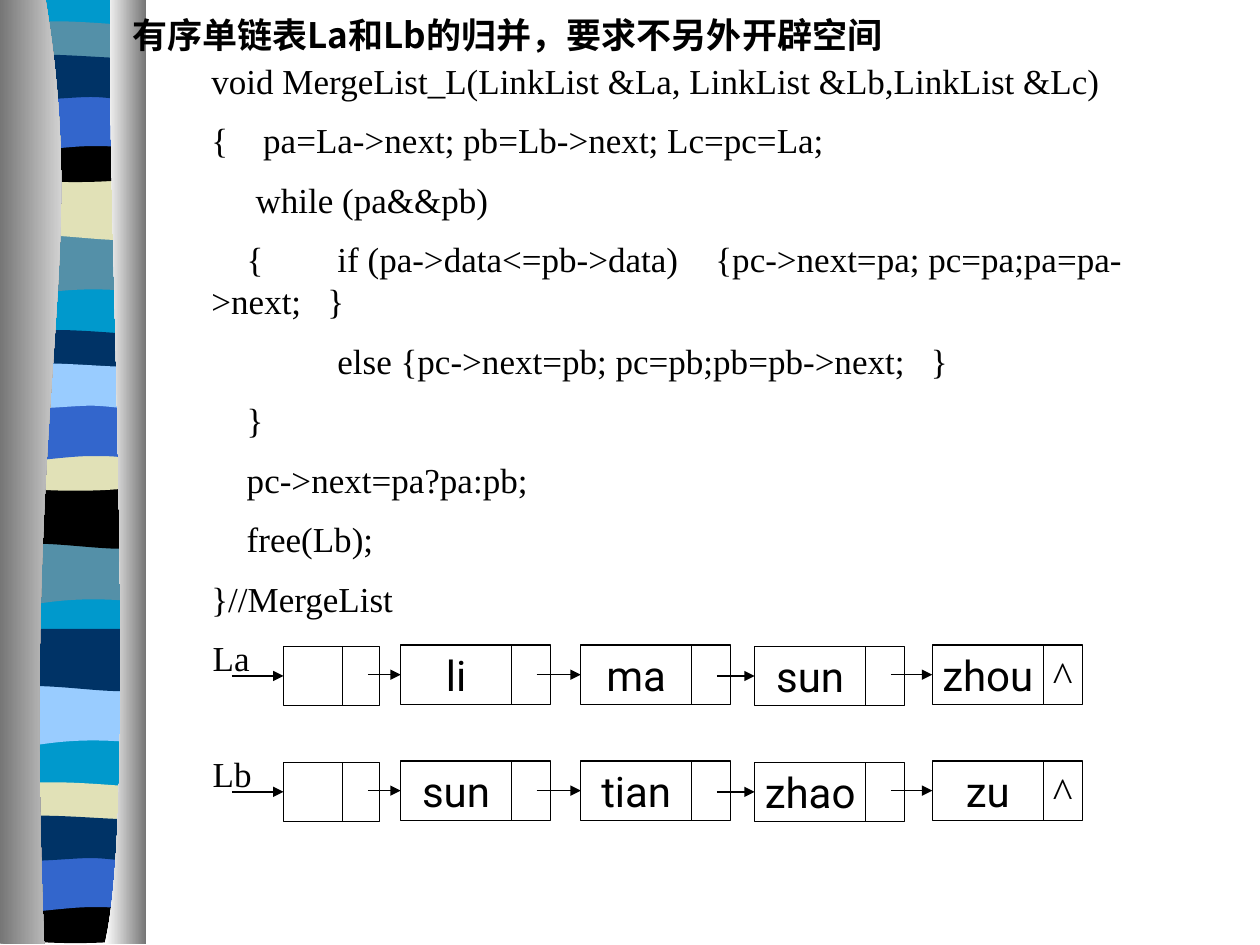
from dataclasses import dataclass

from lxml.etree import SubElement
from pptx import Presentation
from pptx.dml.color import RGBColor
from pptx.enum.shapes import MSO_CONNECTOR as Connector, MSO_SHAPE as Preset
from pptx.enum.text import MSO_ANCHOR as Anchor, MSO_AUTO_SIZE as AutoSize, PP_ALIGN as Align
from pptx.oxml.ns import qn
from pptx.util import Inches, Pt


@dataclass(frozen=True)
class Theme:
    ink: str = "000000"
    cyan: str = "0099CC"
    slate: str = "5490A8"
    cream: str = "E1E1B7"
    blue: str = "3366CC"
    navy: str = "003366"
    sky: str = "99CCFF"
    white: str = "FFFFFF"
    grey: str = "767676"
    title_font: str = "Noto Sans CJK SC"
    code_font: str = "Times New Roman"
    node_font: str = "Roboto"
    text_size: int = 20
    node_size: int = 24
    line_pitch: int = 24
    para_gap: int = 10
    rule: float = 0.75


THEME = Theme()
LEFT, RIGHT = 0.05, 1.14

FLAT = [((RIGHT, 0),)]
BAND_FORMS = [
    (0.47, FLAT, [((0.39, -0.08), (0.23, 0.08), (LEFT, 0))]),
    (0.47, FLAT, [((0.96, 0.08), (0.39, -0.06), (LEFT, 0))]),
    (0.24, [((0.12, -0.05), (0.29, -0.04), (0.47, -0.04)),
            ((0.65, -0.04), (1, -0.01), (RIGHT, 0))],
     [((0.96, 0.05), (0.23, 0.05), (LEFT, 0))]),
    (0.32, [((0.72, 0.05), (0.91, 0), (RIGHT, 0))],
     [((0.96, 0.06), (0.24, 0.06), (LEFT, 0))]),
    (0.47, FLAT, [((0.97, -0.05), (0.9, -0.05), (0.72, -0.05)),
                  ((0.54, -0.05), (0.22, 0), (LEFT, 0))]),
    (0.31, [((0.21, -0.06), (0.79, 0), (0.97, 0)),
            ((1.15, 0), (1.1, 0), (RIGHT, 0))],
     [((1.07, 0.05), (0.9, 0), (0.72, 0)),
      ((0.54, 0), (0.16, 0.05), (LEFT, 0))]),
]
BAND_GROUPS = [
    [(1.85, THEME.slate), (1.41, THEME.cream), (0.21, THEME.slate),
     (1.08, THEME.ink), (0.74, THEME.blue), (0.46, THEME.navy)],
    [(4.31, THEME.slate), (3.86, THEME.ink), (2.66, THEME.navy),
     (3.53, THEME.cream), (3.2, THEME.blue), (2.91, THEME.sky)],
    [(5.43, THEME.sky), (4.99, THEME.navy), (6.25, THEME.cream),
     (7.12, THEME.ink), (6.78, THEME.blue), (6.5, THEME.navy)],
]

TITLE = "有序单链表La和Lb的归并，要求不另外开辟空间"
CODE = [
    (0, "void MergeList_L(LinkList &La, LinkList &Lb,LinkList &Lc)"),
    (0, "{    pa=La->next; pb=Lb->next; Lc=pc=La;"),
    (0.35, "while (pa&&pb)"),
    (0.28, "{\t\tif (pa->data<=pb->data)\t{pc->next=pa; pc=pa;pa=pa->next;   }"),
    (1, "else {pc->next=pb; pc=pb;pb=pb->next;   }"),
    (0.28, "}"),
    (0.28, "pc->next=pa?pa:pb;"),
    (0.28, "free(Lb);"),
    (0, "}//MergeList"),
]
LISTS = [("La", ["li", "ma", "sun", "zhou"]), ("Lb", ["sun", "tian", "zhao", "zu"])]


def color(code):
    return RGBColor.from_string(code)


def style_para(para, font, size, bold=False):
    for span in para.runs:
        span.font.name, span.font.size, span.font.bold = font, Pt(size), bold
        span.font.color.rgb = color(THEME.ink)
        SubElement(span.font._element, qn("a:ea"), typeface=font)


def place(shape, box):
    shape.left, shape.top, shape.width, shape.height = map(Inches, box)


def lower_by(segments, y):
    return [tuple((x, y + dy) for x, dy in segment) for segment in segments]


def add_outline(page, start, segments, fill=None, gradient=None):
    builder = page.shapes.build_freeform(*map(Inches, start))
    points = [point for segment in segments for point in segment]
    builder.add_line_segments([(Inches(x), Inches(y)) for x, y in points], close=True)
    shape = builder.convert_to_shape()
    steps = iter(list(shape.element.iter(qn("a:lnTo"))))
    for segment in segments:
        step = next(steps)
        if len(segment) == 3:
            step.tag = qn("a:cubicBezTo")
            for _ in range(2):
                extra = next(steps)
                step.append(extra[0])
                extra.getparent().remove(extra)
    shape.shadow.inherit = False
    shape.line.fill.background()
    if gradient:
        shape.fill.gradient()
        shape.fill.gradient_angle = 0
        for stop, code in zip(shape.fill.gradient_stops, gradient):
            stop.color.rgb = color(code)
    else:
        shape.fill.solid()
        shape.fill.fore_color.rgb = color(fill)


def add_ribbon(page, top, bottom):
    backing = [((RIGHT, top),), ((RIGHT, bottom),), ((LEFT, bottom),)]
    add_outline(page, (LEFT, top), backing, THEME.cyan)
    for group in BAND_GROUPS:
        for (y, fill), (height, crest, trough) in zip(group, BAND_FORMS):
            base = y + height
            segments = lower_by(crest, y) + [((RIGHT, base),)] + lower_by(trough, base)
            add_outline(page, (LEFT, y), segments, fill)
    left_edge = [((0.72, 2.16), (0.17, 2.96), (0.35, 7.49)), ((0, 7.49),), ((0, top),)]
    add_outline(page, (0.36, top), left_edge, gradient=(THEME.grey, THEME.white))
    right_edge = [((0.83, 1.25), (1.11, 6.46), (0.83, 7.49)), ((1.16, 7.49),), ((1.16, top),)]
    add_outline(page, (0.88, top), right_edge, gradient=(THEME.white, THEME.grey))


def add_title(page, box):
    title = page.shapes.title
    title.element.getparent().append(title.element)
    place(title, box)
    frame = title.text_frame
    frame.text = TITLE
    frame.word_wrap, frame.auto_size = True, AutoSize.NONE
    frame.vertical_anchor, frame.margin_right = Anchor.TOP, Inches(0.05)
    para = frame.paragraphs[0]
    para.alignment, para.line_spacing = Align.LEFT, Pt(THEME.line_pitch)
    style_para(para, THEME.title_font, THEME.text_size, bold=True)


def add_text(page, box, lines, right_margin=0.1):
    frame = page.shapes.add_textbox(*map(Inches, box)).text_frame
    frame.word_wrap, frame.margin_right = True, Inches(right_margin)
    for index, (indent, text) in enumerate(lines):
        para = frame.add_paragraph() if index else frame.paragraphs[0]
        para.text = text
        para.line_spacing = Pt(THEME.line_pitch)
        para.space_before = Pt(THEME.para_gap if index else 0)
        style_para(para, THEME.code_font, THEME.text_size)
        props = para._p.get_or_add_pPr()
        props.set("marL", "0")
        props.set("indent", str(Inches(indent)))


def add_cell(page, box, text="", font=THEME.node_font):
    cell = page.shapes.add_shape(Preset.RECTANGLE, *map(Inches, box))
    cell.shadow.inherit = False
    cell.fill.background()
    cell.line.color.rgb, cell.line.width = color(THEME.ink), Pt(THEME.rule)
    if text:
        frame = cell.text_frame
        frame.text = text
        frame.word_wrap, frame.vertical_anchor = False, Anchor.MIDDLE
        frame.paragraphs[0].alignment = Align.CENTER
        style_para(frame.paragraphs[0], font, THEME.node_size)
    return cell


def add_arrow(page, start, cell):
    middle = cell.top + cell.height // 2
    arrow = page.shapes.add_connector(Connector.STRAIGHT, Inches(start), middle, cell.left, middle)
    arrow.end_connect(cell, 1)
    arrow.line.color.rgb, arrow.line.width = color(THEME.ink), Pt(THEME.rule)
    SubElement(arrow.line._get_or_add_ln(), qn("a:tailEnd"), type="triangle")
    SubElement(arrow._element.spPr, qn("a:effectLst"))


def add_linked_list(page, box, label, words):
    left, top, _, height = box
    add_text(page, (left, top - 0.12, 1, 0.43), [(0, label)])
    xs, drops = (0.66, 1.59, 3.02, 4.4, 5.81), (0.01, 0, 0, 0.01, 0)
    start = left + 0.25
    for index, (x, drop, word) in enumerate(zip(xs, drops, [""] + words)):
        data, link = (0.88, 0.31) if index else (0.47, 0.29)
        x, y = left + x, top + drop
        cell = add_cell(page, (x, y, data, height), word)
        end_mark = "^" if index == len(words) else ""
        add_cell(page, (x + data, y, link, height), end_mark, THEME.code_font)
        add_arrow(page, start, cell)
        start = x + data + 0.2


def main():
    deck = Presentation()
    deck.slide_width, deck.slide_height = Inches(10), Inches(7.5)
    page = deck.slides.add_slide(deck.slide_layouts[5])
    add_ribbon(page, -0.01, 7.47)
    add_text(page, (1.58, 0.42, 8.42, 4.43), CODE, right_margin=0.5)
    add_title(page, (0.95, 0.06, 6.14, 0.44))
    for row, (label, words) in enumerate(LISTS):
        add_linked_list(page, (1.59, 5.12 + 0.92 * row, 7, 0.47), label, words)
    deck.save("out.pptx")


if __name__ == "__main__":
    main()
